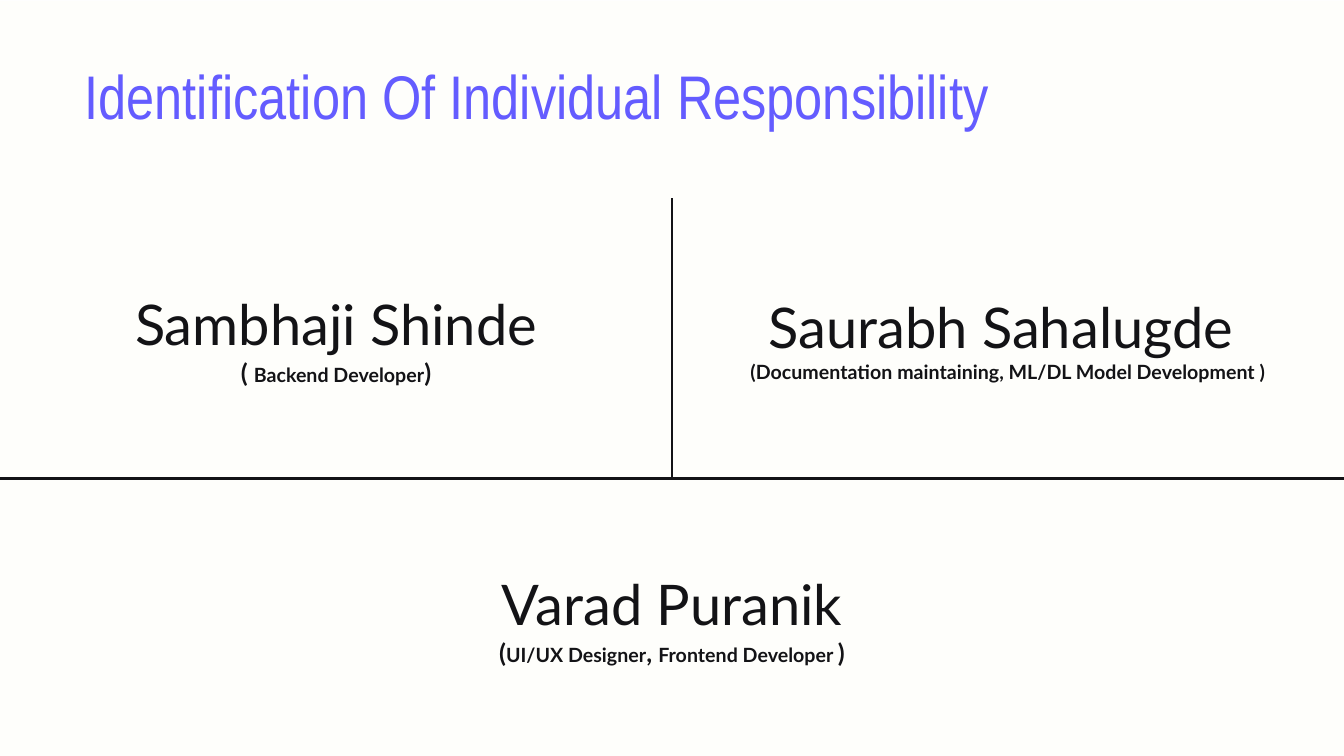
"""Build a slide assigning responsibilities to three team members."""
from dataclasses import dataclass

from lxml.etree import SubElement
from pptx import Presentation
from pptx.dml.color import RGBColor
from pptx.enum.shapes import MSO_SHAPE
from pptx.enum.text import MSO_ANCHOR, PP_ALIGN
from pptx.oxml.ns import qn
from pptx.slide import Slide
from pptx.table import Table, _Cell
from pptx.text.text import _Paragraph, _Run
from pptx.util import Emu, Pt

EMU_PER_PX = 9525


@dataclass(frozen=True)
class Theme:
    paper: str = "FEFEFB"
    heading: str = "645CFF"
    ink: str = "131316"
    heading_font: str = "Arial Narrow"
    body_font: str = "Lato"
    heading_size: int = 44
    name_size: int = 40
    bracket_size: int = 18
    role_size: int = 14
    rule_width: float = 2.25


@dataclass(frozen=True)
class RolePart:
    text: str
    size: int


@dataclass(frozen=True)
class Member:
    name: str
    role: tuple[RolePart, ...]
    row: int
    column: int
    ruled_sides: str


THEME = Theme()
SLIDE_WIDTH, SLIDE_HEIGHT = 1280, 720
GRID_TOP, ROW_HEIGHT = 189, 267
COLUMN_WIDTH = SLIDE_WIDTH // 2

MEMBERS = (
    Member("Sambhaji Shinde", (
        RolePart("( ", THEME.bracket_size),
        RolePart("Backend Developer", THEME.role_size),
        RolePart(")", THEME.bracket_size),
    ), 0, 0, "RB"),
    Member("Saurabh Sahalugde ", (
        RolePart("(Documentation maintaining, ML/DL Model Development )", THEME.role_size),
    ), 0, 1, "LB"),
    Member("Varad Puranik", (
        RolePart("(", THEME.bracket_size),
        RolePart("UI/UX Designer", THEME.role_size),
        RolePart(", ", THEME.bracket_size),
        RolePart("Frontend Developer ", THEME.role_size),
        RolePart(")", THEME.bracket_size),
    ), 1, 0, "T"),
)


def px(length: int) -> Emu:
    """Convert whole pixels to EMU."""
    return Emu(length * EMU_PER_PX)


def style_run(run: _Run, font: str, size: int, color: str, bold: bool = False) -> None:
    """Format one run of text."""
    run.font.name = font
    run.font.size = Pt(size)
    run.font.bold = bold
    run.font.color.rgb = RGBColor.from_string(color)


def draw_paper(slide: Slide) -> None:
    """Lay the tinted sheet behind everything else."""
    paper = slide.shapes.add_shape(
        MSO_SHAPE.RECTANGLE, 0, px(1), px(SLIDE_WIDTH), px(SLIDE_HEIGHT))
    paper.shadow.inherit = False
    paper.fill.solid()
    paper.fill.fore_color.rgb = RGBColor.from_string(THEME.paper)
    paper.line.fill.background()
    slide.shapes.title.element.addprevious(paper.element)


def draw_heading(slide: Slide, text: str) -> None:
    """Place and format the slide title."""
    heading = slide.shapes.title
    heading.left, heading.top = px(71), px(42)
    heading.width, heading.height = px(1121), px(106)
    heading.text_frame.text = text
    heading.text_frame.vertical_anchor = MSO_ANCHOR.MIDDLE
    line = heading.text_frame.paragraphs[0]
    line.alignment = PP_ALIGN.LEFT
    line.line_spacing = 0.9
    style_run(line.runs[0], THEME.heading_font, THEME.heading_size, THEME.heading)


def rule_cell(cell: _Cell, ruled_sides: str) -> None:
    """Rule the given sides of a cell and clear the others."""
    properties = cell._tc.get_or_add_tcPr()
    for side in "LRTB":
        border = SubElement(properties, qn(f"a:ln{side}"), w=str(Pt(THEME.rule_width)))
        if side in ruled_sides:
            ink = SubElement(border, qn("a:solidFill"))
            SubElement(ink, qn("a:srgbClr"), val=THEME.ink)
        else:
            SubElement(border, qn("a:noFill"))
    cell.fill.background()


def write_role(line: _Paragraph, role: tuple[RolePart, ...]) -> None:
    """Write the bold role line in its mixed sizes."""
    line.alignment = PP_ALIGN.CENTER
    for part in role:
        run = line.add_run()
        run.text = part.text
        style_run(run, THEME.body_font, part.size, THEME.ink, bold=True)


def write_member(grid: Table, member: Member) -> None:
    """Fill one cell with a member's name and role."""
    cell = grid.cell(member.row, member.column)
    cell.vertical_anchor = MSO_ANCHOR.MIDDLE
    cell.text_frame.text = member.name
    name_line = cell.text_frame.paragraphs[0]
    name_line.alignment = PP_ALIGN.CENTER
    style_run(name_line.runs[0], THEME.body_font, THEME.name_size, THEME.ink)
    write_role(cell.text_frame.add_paragraph(), member.role)
    rule_cell(cell, member.ruled_sides)


def draw_members(slide: Slide) -> None:
    """Draw the grid of members."""
    grid = slide.shapes.add_table(
        2, 2, 0, px(GRID_TOP), px(SLIDE_WIDTH), px(2 * ROW_HEIGHT)).table
    grid.first_row = grid.horz_banding = False
    for column in grid.columns:
        column.width = px(COLUMN_WIDTH)
    for row in grid.rows:
        row.height = px(ROW_HEIGHT)
    grid.cell(1, 0).merge(grid.cell(1, 1))
    rule_cell(grid.cell(1, 1), "T")
    for member in MEMBERS:
        write_member(grid, member)


def main() -> None:
    """Assemble and save the presentation."""
    deck = Presentation()
    deck.slide_width, deck.slide_height = px(SLIDE_WIDTH), px(SLIDE_HEIGHT)
    slide = deck.slides.add_slide(deck.slide_layouts.get_by_name("Title Only"))
    draw_paper(slide)
    draw_heading(slide, "Identification Of Individual Responsibility")
    draw_members(slide)
    deck.save("out.pptx")


if __name__ == "__main__":
    main()
